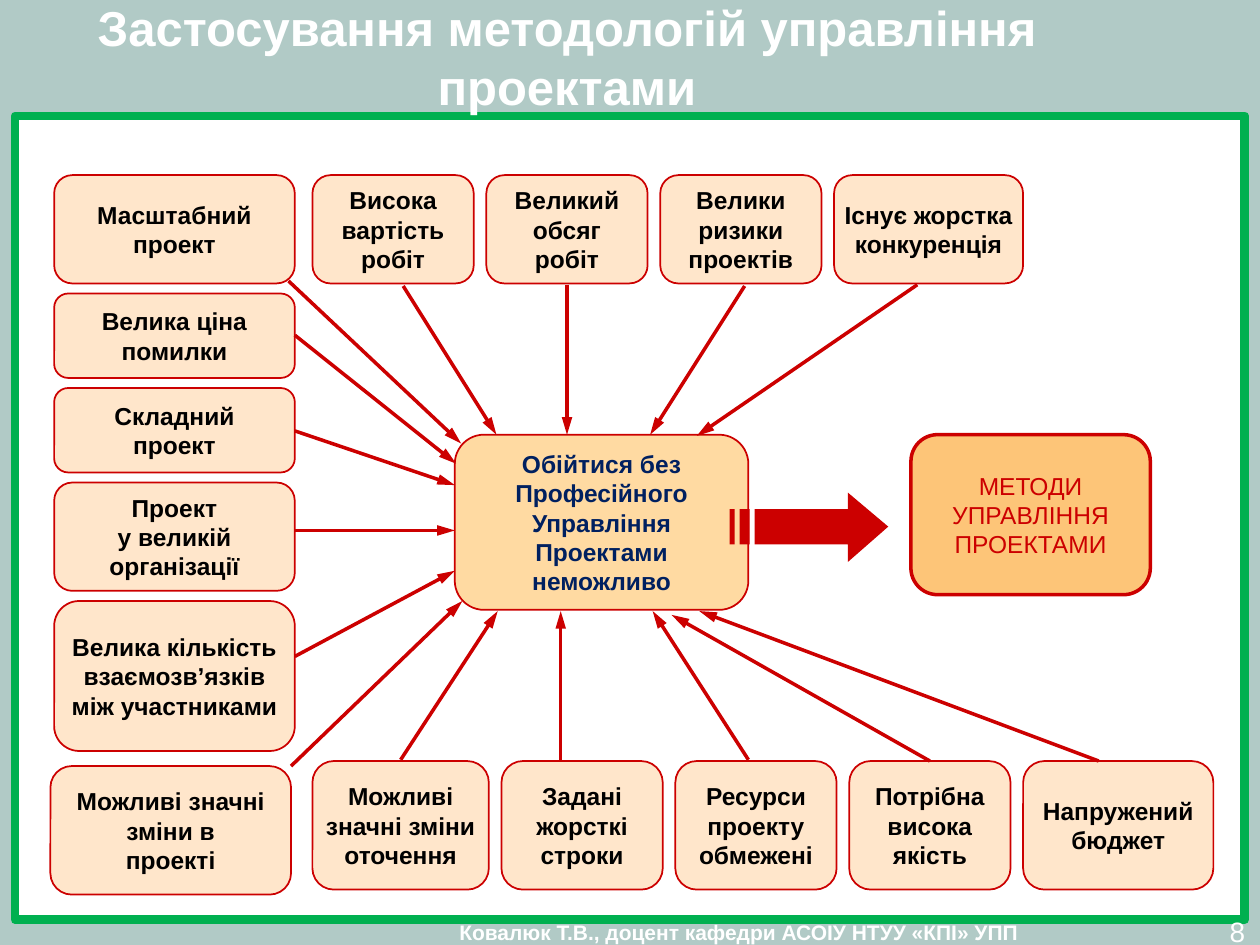
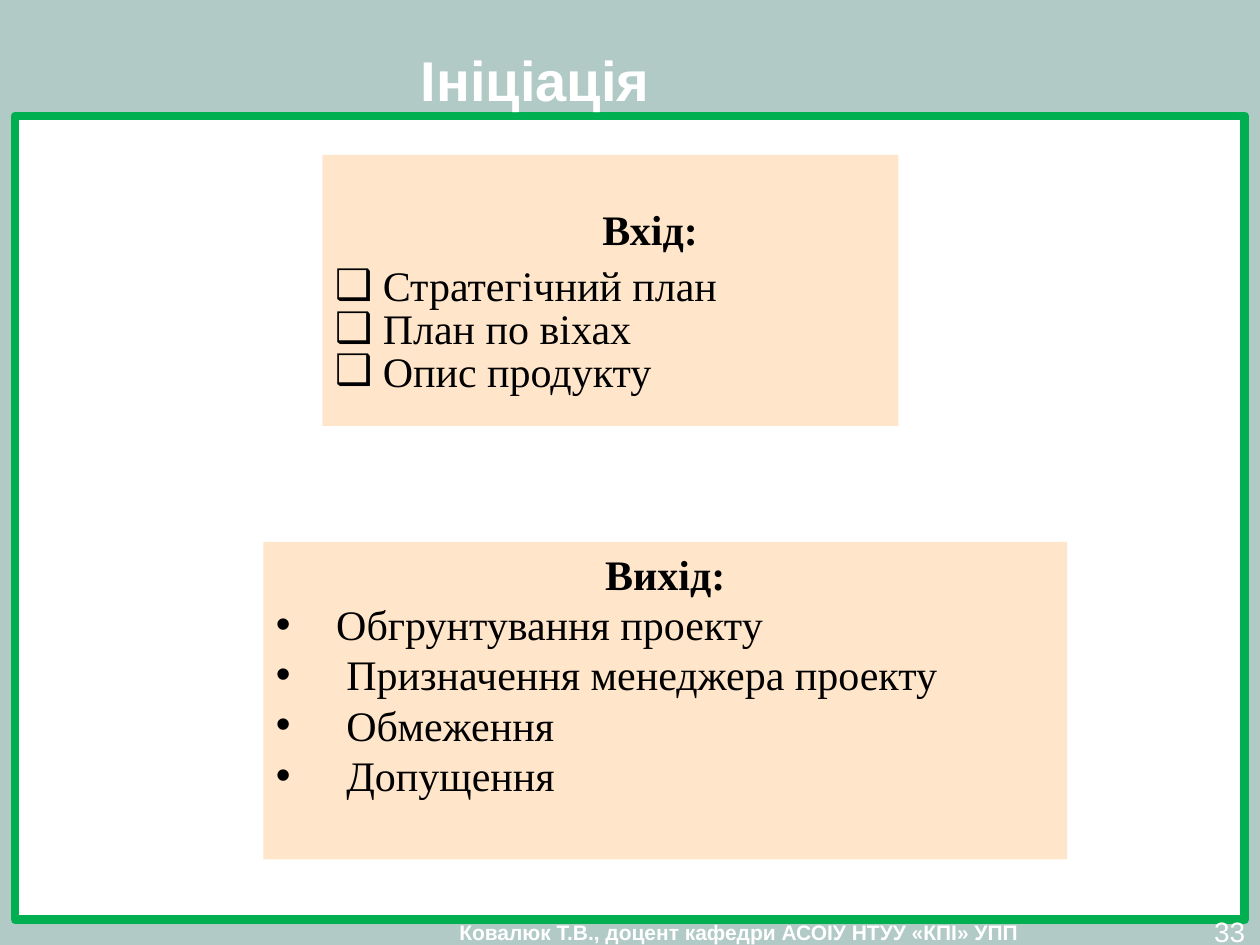
from copy import deepcopy
from dataclasses import dataclass

from lxml.etree import SubElement
from pptx import Presentation
from pptx.dml.color import RGBColor
from pptx.enum.shapes import MSO_CONNECTOR, MSO_SHAPE
from pptx.enum.text import MSO_ANCHOR, PP_ALIGN
from pptx.oxml.ns import qn
from pptx.shapes.autoshape import Shape
from pptx.slide import Slide
from pptx.text.text import TextFrame
from pptx.util import Inches, Pt

COLORS = {
    "background": "B1CAC6",
    "white": "FFFFFF",
    "black": "000000",
    "frame": "00B050",
    "red": "CC0000",
    "navy": "002060",
    "card": "FFE6CB",
    "center": "FFDAA2",
    "methods": "FDC578",
}
SANS = "Arial"
SERIF = "Times New Roman"
FOOTER = "Ковалюк Т.В., доцент кафедри АСОІУ НТУУ «КПІ» УПП"
GAP_ACROSS = 0.1
GAP_DOWN = 0.08


@dataclass(frozen=True)
class Box:
    left: float
    top: float
    width: float
    height: float


@dataclass(frozen=True)
class Card:
    text: str
    size: float


@dataclass(frozen=True)
class Arrow:
    start: tuple[float, float]
    end: tuple[float, float]


TOP_ROW = [
    Card("Висока вартість робіт", 1.28),
    Card("Великий обсяг\vробіт", 1.28),
    Card("Велики\vризики проектів", 1.28),
    Card("Існує жорстка конкуренція", 1.5),
]
BOTTOM_ROW = [
    Card("Можливі значні зміни оточення", 1.4),
    Card("Задані жорсткі строки", 1.28),
    Card("Ресурси проекту обмежені", 1.28),
    Card("Потрібна висока якість", 1.28),
    Card("Напружений бюджет", 1.51),
]
LEFT_COLUMN = [
    Card("Масштабний\vпроект", 0.86),
    Card("Велика ціна\vпомилки", 0.67),
    Card("Складний\vпроект", 0.67),
    Card("Проект\vу великій організації", 0.86),
    Card("Велика кількість взаємозв’язків між участниками", 1.19),
]
ARROWS = [
    Arrow((2.29, 2.23), (3.66, 3.52)),
    Arrow((2.34, 2.66), (3.62, 3.68)),
    Arrow((2.34, 3.42), (3.61, 3.85)),
    Arrow((2.34, 4.21), (3.61, 4.21)),
    Arrow((2.34, 5.21), (3.61, 4.53)),
    Arrow((2.31, 6.08), (3.67, 4.77)),
    Arrow((3.2, 2.27), (3.94, 3.45)),
    Arrow((4.5, 2.26), (4.5, 3.45)),
    Arrow((5.91, 2.27), (5.16, 3.45)),
    Arrow((7.28, 2.26), (5.53, 3.46)),
    Arrow((3.18, 6.03), (3.95, 4.85)),
    Arrow((4.45, 6.04), (4.45, 4.85)),
    Arrow((5.94, 6.03), (5.18, 4.85)),
    Arrow((7.38, 6.04), (5.33, 4.88)),
    Arrow((8.72, 6.04), (5.55, 4.85)),
]


def color(name: str) -> RGBColor:
    return RGBColor.from_string(COLORS[name])


def add_text(frame: TextFrame, text: str, *, size: float = 14, font: str = SANS,
             ink: str = "black", bold: bool = False, align: PP_ALIGN = PP_ALIGN.CENTER,
             bullet: str = "", margin: float = 0, hanging: float = 0,
             line_spacing: float = 1, after: float = 0) -> None:
    paragraph = frame.paragraphs[0] if not frame.text else frame.add_paragraph()
    paragraph.text = text
    paragraph.alignment = align
    paragraph.line_spacing = line_spacing
    paragraph.space_before = Pt(0)
    paragraph.space_after = Pt(after)
    for run in paragraph.runs:
        run.font.size = Pt(size)
        run.font.name = font
        run.font.bold = bold
        run.font.color.rgb = color(ink)
    run_format = paragraph.runs[0].font
    for line_break in paragraph._p.findall(qn("a:br")):
        line_break.insert(0, deepcopy(run_format._rPr))
    properties = paragraph._p.get_or_add_pPr()
    properties.set("marL", str(Inches(margin)))
    properties.set("indent", str(-Inches(hanging)))
    if bullet:
        SubElement(properties, qn("a:buFont")).set("typeface", SANS)
        SubElement(properties, qn("a:buChar")).set("char", bullet)


def prepare_frame(frame: TextFrame, *, anchor: MSO_ANCHOR = MSO_ANCHOR.MIDDLE,
                  side: float = 0.1, top: float = 0.05, bottom: float = 0.05) -> TextFrame:
    frame.word_wrap = True
    frame.vertical_anchor = anchor
    frame.margin_left = frame.margin_right = Inches(side)
    frame.margin_top = Inches(top)
    frame.margin_bottom = Inches(bottom)
    return frame


def add_text_box(slide: Slide, box: Box) -> TextFrame:
    shape = slide.shapes.add_textbox(Inches(box.left), Inches(box.top),
                                     Inches(box.width), Inches(box.height))
    return shape.text_frame


def style_shape(shape: Shape, fill: str, line: str = "", line_width: float = 1) -> None:
    shape.shadow.inherit = False
    shape.fill.solid()
    shape.fill.fore_color.rgb = color(fill)
    if line:
        shape.line.color.rgb = color(line)
        shape.line.width = Pt(line_width)
    else:
        shape.line.fill.background()


def add_box(slide: Slide, box: Box, fill: str, line: str = "", line_width: float = 1,
            kind: MSO_SHAPE = MSO_SHAPE.RECTANGLE) -> Shape:
    shape = slide.shapes.add_shape(kind, Inches(box.left), Inches(box.top),
                                   Inches(box.width), Inches(box.height))
    style_shape(shape, fill, line, line_width)
    return shape


def add_rounded(slide: Slide, box: Box, fill: str, texts: list[str], *, side: float = 0,
                line_width: float = 1, ink: str = "black", bold: bool = True) -> None:
    shape = add_box(slide, box, fill, "red", line_width, MSO_SHAPE.ROUNDED_RECTANGLE)
    frame = prepare_frame(shape.text_frame, side=side, top=0, bottom=0)
    for text in texts:
        add_text(frame, text, ink=ink, bold=bold)


def add_card_row(slide: Slide, cards: list[Card], top: float, height: float) -> None:
    left = 2.48
    for card in cards:
        add_rounded(slide, Box(left, top, card.size, height), "card", [card.text])
        left += card.size + GAP_ACROSS


def add_card_column(slide: Slide, cards: list[Card]) -> None:
    top = 1.39
    for card in cards:
        add_rounded(slide, Box(0.43, top, 1.91, card.size), "card", [card.text])
        top += card.size + GAP_DOWN


def add_arrow(slide: Slide, arrow: Arrow) -> None:
    points = [Inches(value) for value in arrow.start + arrow.end]
    connector = slide.shapes.add_connector(MSO_CONNECTOR.STRAIGHT, *points)
    connector.line.color.rgb = color("red")
    connector.line.width = Pt(2)
    line = connector.line._get_or_add_ln()
    tail = SubElement(line, qn("a:tailEnd"))
    tail.set("type", "triangle")
    tail.set("len", "lg")
    SubElement(connector._element.spPr, qn("a:effectLst"))


def add_striped_arrow(slide: Slide) -> None:
    upper, lower = 404, 432
    head = [(599, upper), (673, upper), (673, 391), (705, 418),
            (673, 446), (673, lower), (599, lower)]
    stripes = [[(left, upper), (right, upper), (right, lower), (left, lower)]
               for left, right in ((587, 595), (579, 583))]
    builder = slide.shapes.build_freeform(*head[0], scale=Inches(0.01))
    builder.add_line_segments(head[1:], close=True)
    for stripe in stripes:
        builder.move_to(*stripe[0])
        builder.add_line_segments(stripe[1:], close=True)
    style_shape(builder.convert_to_shape(), "red")


def add_base_slide(presentation: Presentation, title: str, title_box: Box,
                   title_size: float, number: int) -> Slide:
    slide = presentation.slides.add_slide(presentation.slide_layouts[6])
    slide.background.fill.solid()
    slide.background.fill.fore_color.rgb = color("background")
    footer = prepare_frame(add_text_box(slide, Box(2.56, 7.3, 6.61, 0.2)),
                           anchor=MSO_ANCHOR.TOP, top=0, bottom=0)
    add_text(footer, FOOTER, size=12, ink="white", bold=True)
    add_box(slide, Box(0.12, 0.92, 9.76, 6.38), "white", "frame", 5)
    title_frame = prepare_frame(add_text_box(slide, title_box))
    add_text(title_frame, title, size=title_size, ink="white", bold=True)
    number_frame = prepare_frame(add_text_box(slide, Box(9.41, 7.21, 0.57, 0.29)),
                                 anchor=MSO_ANCHOR.TOP)
    add_text(number_frame, str(number), size=16, ink="white", align=PP_ALIGN.RIGHT)
    return slide


def build_methodologies(presentation: Presentation) -> None:
    slide = add_base_slide(presentation, "Застосування методологій управління проектами",
                           Box(0, 0.14, 9, 0.62), 28, 8)
    add_rounded(slide, Box(7.23, 3.45, 1.9, 1.27), "methods",
                ["МЕТОДИ УПРАВЛІННЯ", "ПРОЕКТАМИ"], line_width=2, ink="red", bold=False)
    add_rounded(slide, Box(3.61, 3.45, 2.33, 1.39), "center",
                ["Обійтися без Професійного Управління", "Проектами неможливо"],
                side=0.1, ink="navy")
    add_card_row(slide, TOP_ROW, 1.39, 0.86)
    add_card_row(slide, BOTTOM_ROW, 6.04, 1.02)
    add_card_column(slide, LEFT_COLUMN)
    add_rounded(slide, Box(0.4, 6.08, 1.91, 1.02), "card",
                ["Можливі значні зміни в\vпроекті"])
    for arrow in ARROWS:
        add_arrow(slide, arrow)
    add_striped_arrow(slide)


def build_initiation(presentation: Presentation) -> None:
    slide = add_base_slide(presentation, "Ініціація", Box(0, 0.33, 8.5, 0.59), 32, 33)
    input_box = add_box(slide, Box(2.56, 1.23, 4.57, 2.15), "card")
    frame = prepare_frame(input_box.text_frame, anchor=MSO_ANCHOR.TOP, top=0.45)
    add_text(frame, "Вхід:", size=24, font=SERIF, bold=True, margin=0.63,
             line_spacing=0.85, after=7.2)
    for text in ("Стратегічний план", "План по віхах", "Опис продукту"):
        add_text(frame, text, size=24, font=SERIF, align=PP_ALIGN.JUSTIFY, bullet="❑",
                 margin=0.38, hanging=0.38, line_spacing=0.85)

    output_box = add_box(slide, Box(2.09, 4.3, 6.38, 2.52), "card")
    frame = prepare_frame(output_box.text_frame, anchor=MSO_ANCHOR.TOP)
    add_text(frame, "Вихід:", size=24, font=SERIF, bold=True)
    outputs = [("Обгрунтування проекту", 0.48), ("Призначення менеджера проекту", 0.56),
               ("Обмеження", 0.56), ("Допущення", 0.56)]
    for text, margin in outputs:
        add_text(frame, text, size=24, font=SERIF, align=PP_ALIGN.JUSTIFY, bullet="•",
                 margin=margin, hanging=margin)


def main() -> None:
    presentation = Presentation()
    presentation.slide_width = Inches(10)
    presentation.slide_height = Inches(7.5)
    build_methodologies(presentation)
    build_initiation(presentation)
    presentation.save("out.pptx")


if __name__ == "__main__":
    main()
